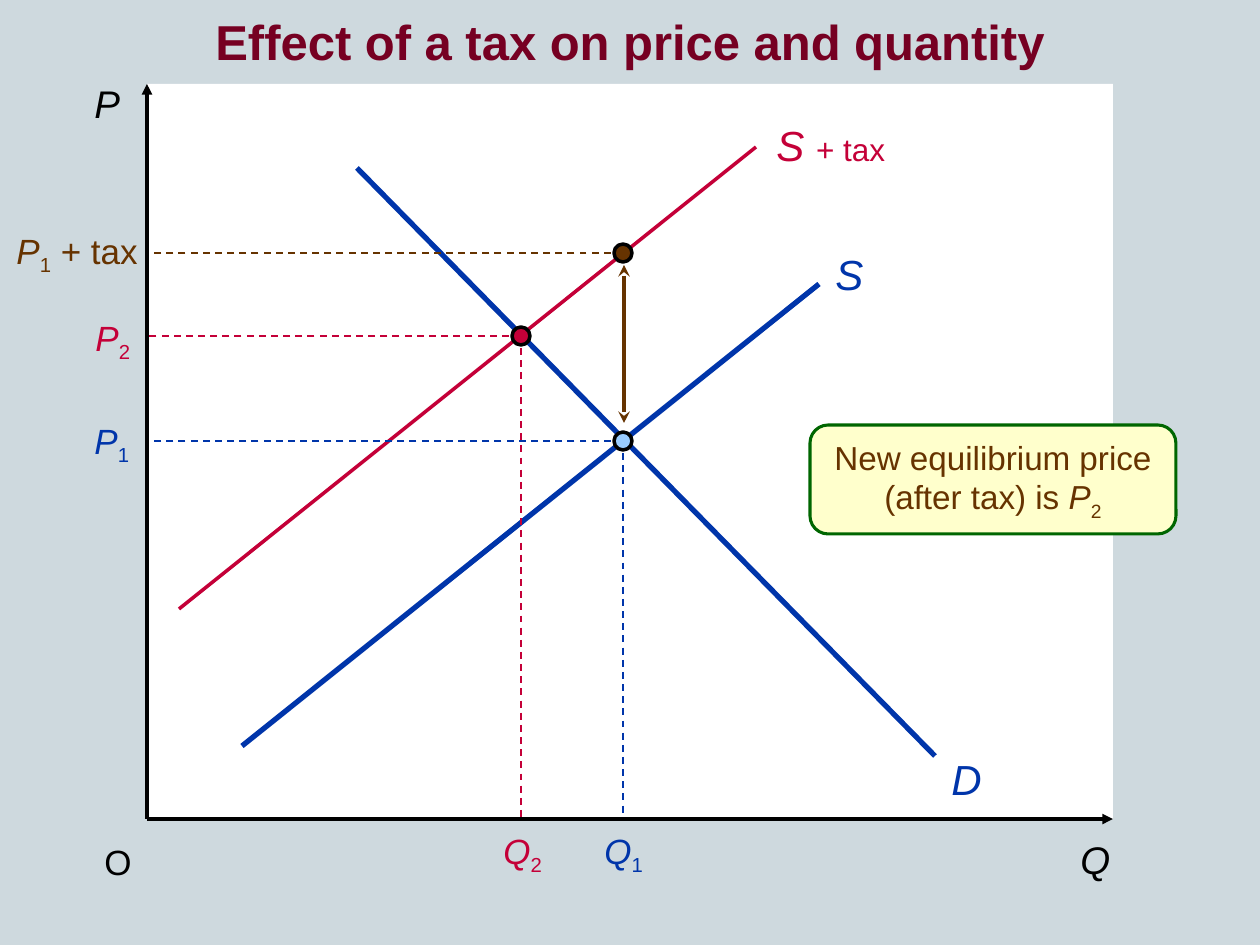
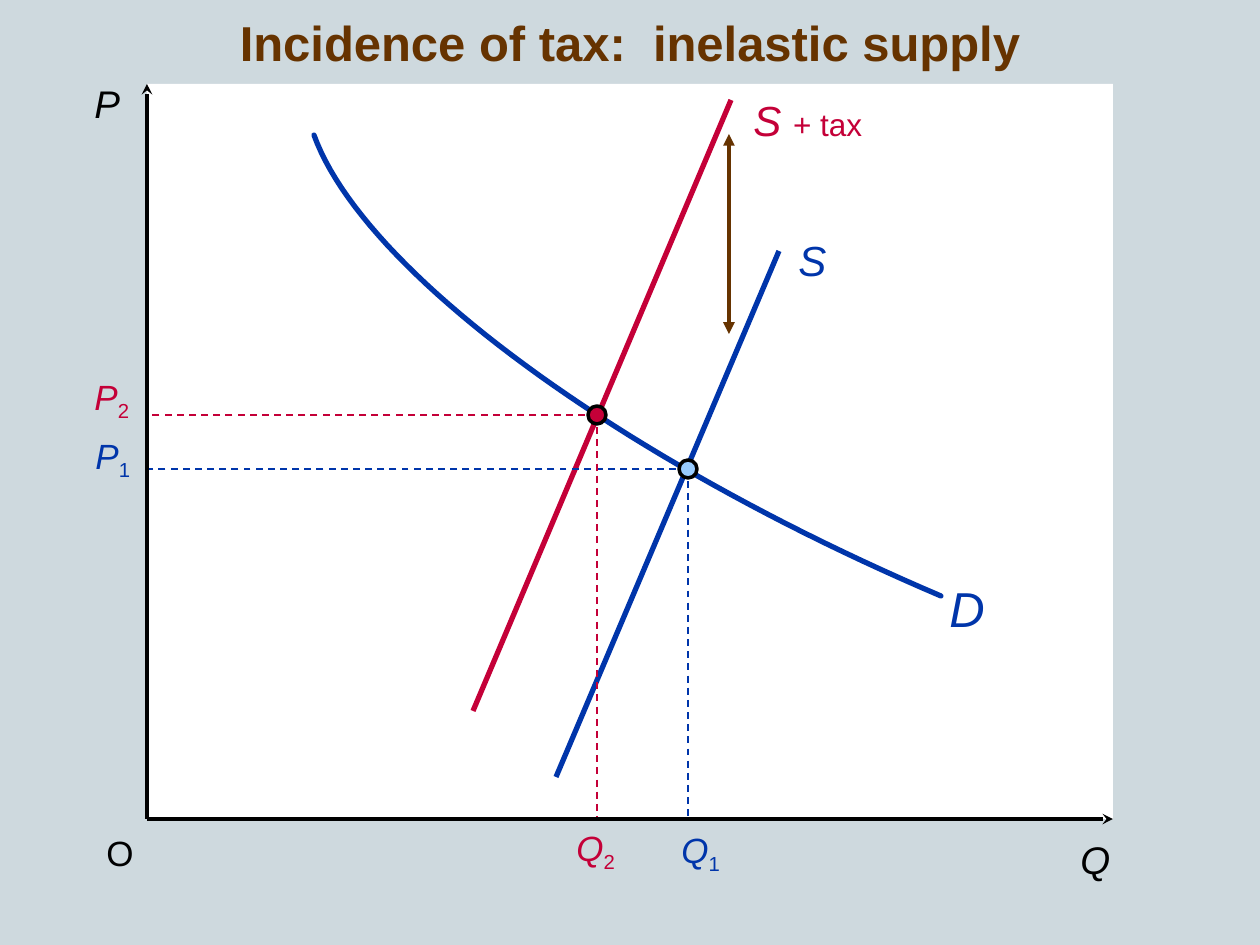
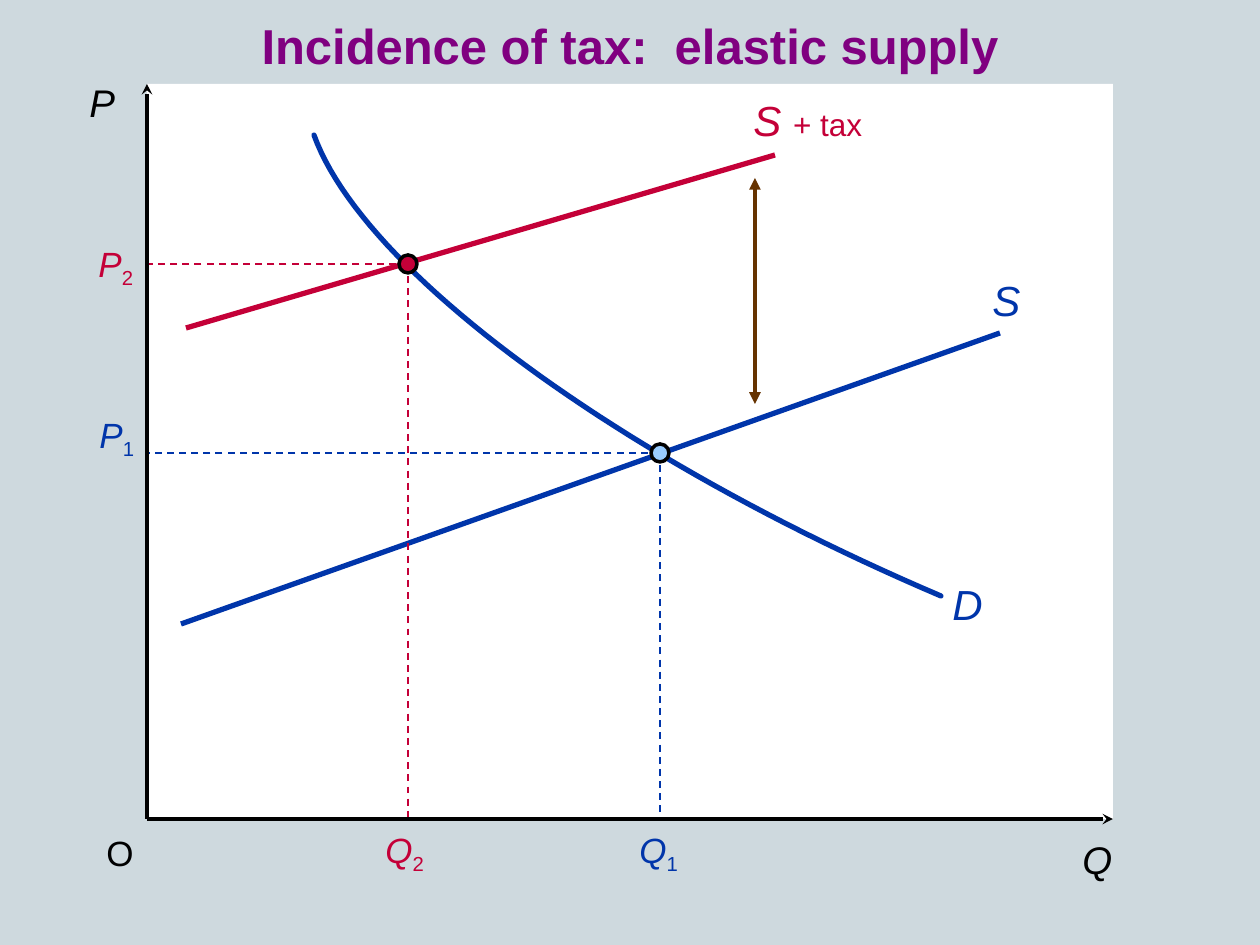
"""Build three supply-and-demand slides on the incidence of a tax."""
from lxml import etree
from pptx import Presentation
from pptx import util as u
from pptx.dml.color import RGBColor
from pptx.enum import dml, shapes, text
from pptx.oxml.ns import qn

SCALE = 914400 / 126
FONT = "Arial"
BACK = RGBColor(0xCE, 0xD9, 0xDE)
WHITE = RGBColor(0xFF, 0xFF, 0xFF)
BLACK = RGBColor(0, 0, 0)
BLUE = RGBColor(0x00, 0x35, 0xAA)
SKY = RGBColor(0x99, 0xCC, 0xFF)
RED = RGBColor(0xC4, 0x00, 0x38)
BROWN = RGBColor(0x66, 0x33, 0x00)
MAROON = RGBColor(0x76, 0x00, 0x22)
PURPLE = RGBColor(0x80, 0x00, 0x80)
CREAM = RGBColor(0xFF, 0xFF, 0xCC)
GREEN = RGBColor(0x00, 0x66, 0x00)

LEFT, TOP, RIGHT, BOTTOM = 147, 84, 1113, 819
DOT = 18
CURVE = [(314, 135), (363, 271), (619, 459), (941, 596)]

ITALIC, SUB = {"italic": True}, {"sub": True}
LABELS = {
    "P": ([("P", ITALIC)], BLACK, 22, 62),
    "Q": ([("Q", ITALIC)], BLACK, 22, 66),
    "O": ([("O", {})], BLACK, 20, 53),
    "S": ([("S", ITALIC)], BLUE, 24, 53),
    "D": ([("D", ITALIC)], BLUE, 24, 55),
    "S + tax": ([("S ", ITALIC), ("+ tax", {"size": 18})], RED, 24, 135),
    "P1": ([("P", ITALIC), ("1", SUB)], BLUE, 20, 60),
    "P2": ([("P", ITALIC), ("2", SUB)], RED, 20, 60),
    "Q1": ([("Q", ITALIC), ("1", SUB)], BLUE, 20, 64),
    "Q2": ([("Q", ITALIC), ("2", SUB)], RED, 20, 64),
    "P1 + tax": ([("P", ITALIC), ("1", SUB), (" + tax", {})], BROWN, 20, 147),
}
CALLOUT = [("New equilibrium price (after tax) is ", {}), ("P", ITALIC), ("2", SUB)]

SLIDES = [
    {
        "title": ("Effect of a tax on price and quantity", MAROON, 77),
        "labels": {"P": (82, 74), "Q": (1068, 830), "O": (92, 834),
                   "S + tax": (764, 113), "S": (823, 242), "D": (939, 747),
                   "P1": (82, 413), "P2": (83, 310), "Q1": (592, 823),
                   "Q2": (491, 823), "P1 + tax": (4, 223)},
        "lines": [((242, 746), (819, 284), BLUE, 3),
                  ((179, 609), (756, 147), RED, 2),
                  ((357, 168), (935, 756), BLUE, 3)],
        "points": [((623, 441), BLUE, SKY, True), ((521, 336), RED, RED, True),
                   ((623, 253), BROWN, BROWN, False)],
        "tax": ((624, 265), (624, 423)),
        "heads": ("triangle", "stealth"),
        "callout": (810, 425, 366, 109),
    },
    {
        "title": ("Incidence of tax:  inelastic supply", BROWN, 78),
        "labels": {"P": (82, 74), "Q": (1068, 830), "O": (94, 825),
                   "S + tax": (741, 88), "S": (786, 228), "D": (937, 572),
                   "P1": (83, 428), "P2": (82, 369), "Q1": (669, 822),
                   "Q2": (564, 820)},
        "sizes": {"D": 28},
        "curve": CURVE,
        "lines": [((556, 777), (779, 251), BLUE, 3),
                  ((473, 711), (731, 100), RED, 3)],
        "points": [((688, 469), BLUE, SKY, True), ((597, 415), RED, RED, True)],
        "tax": ((729, 134), (729, 334)),
        "heads": ("stealth", "triangle"),
    },
    {
        "title": ("Incidence of tax:  elastic supply", PURPLE, 81),
        "labels": {"P": (77, 73), "Q": (1070, 830), "O": (94, 825),
                   "S + tax": (741, 88), "S": (980, 268), "D": (940, 572),
                   "P1": (87, 407), "P2": (86, 236), "Q1": (627, 822),
                   "Q2": (373, 822)},
        "curve": CURVE,
        "lines": [((186, 328), (775, 155), RED, 3),
                  ((181, 624), (1000, 333), BLUE, 3)],
        "points": [((660, 453), BLUE, SKY, True), ((408, 264), RED, RED, True)],
        "tax": ((755, 178), (755, 404)),
        "heads": ("stealth", "triangle"),
    },
]


def px(n):
    return u.Emu(round(n * SCALE))


def add_run(p, content, size=20, color=BLACK, bold=False, italic=False, sub=False):
    r = p.add_run()
    r.text = content
    f = r.font
    f.name, f.size, f.bold, f.italic = FONT, u.Pt(size), bold, italic
    f.color.rgb = color
    if sub:
        r._r.get_or_add_rPr().set("baseline", "-25000")
    return r


def add_runs(p, runs, **fmt):
    for content, style in runs:
        add_run(p, content, **{**fmt, **style})


def add_title(s, content, color, height):
    sp = s.shapes.title
    sp.left, sp.top, sp.width, sp.height = 0, 0, px(1260), px(height)
    tf = sp.text_frame
    tf.auto_size = text.MSO_AUTO_SIZE.NONE
    tf.vertical_anchor = text.MSO_ANCHOR.BOTTOM
    p = tf.paragraphs[0]
    p.alignment = text.PP_ALIGN.CENTER
    r = add_run(p, content, size=28, color=color, bold=True)
    effects = etree.Element(qn("a:effectLst"))
    shadow = etree.SubElement(effects, qn("a:outerShdw"), dist="25400", dir="2700000")
    etree.SubElement(shadow, qn("a:srgbClr"), val="000000")
    r._r.rPr.find(qn("a:solidFill")).addnext(effects)


def add_label(s, name, x, y, size=None):
    runs, color, usual, width = LABELS[name]
    size = size or usual
    height = round(size * 2.1) + (18 if ("1" in name or "2" in name) else 12)
    tf = s.shapes.add_textbox(px(x), px(y), px(width), px(height)).text_frame
    tf.word_wrap = False
    add_runs(tf.paragraphs[0], runs, size=size, color=color)


def add_box(s, kind, x, y, w, h, fill, line=None, weight=2):
    sp = s.shapes.add_shape(kind, px(x), px(y), px(w), px(h))
    sp.shadow.inherit = False
    sp.fill.solid()
    sp.fill.fore_color.rgb = fill
    if line is None:
        sp.line.fill.background()
    else:
        sp.line.color.rgb = line
        sp.line.width = u.Pt(weight)
    return sp


def add_line(s, start, end, color, weight, dash=False, head=None, tail=None):
    c = s.shapes.add_connector(shapes.MSO_CONNECTOR.STRAIGHT,
                               *(px(n) for n in (*start, *end)))
    c.line.color.rgb = color
    c.line.width = u.Pt(weight)
    if dash:
        c.line.dash_style = dml.MSO_LINE.DASH
    ln = c.line._get_or_add_ln()
    for tag, kind in (("a:headEnd", head), ("a:tailEnd", tail)):
        if kind:
            etree.SubElement(ln, qn(tag), type=kind)
    etree.SubElement(c._element.spPr, qn("a:effectLst"))


def bezier(controls, t):
    weights = ((1 - t) ** 3, 3 * t * (1 - t) ** 2, 3 * t ** 2 * (1 - t), t ** 3)
    return tuple(px(sum(w * n for w, n in zip(weights, axis)))
                 for axis in zip(*controls))


def add_curve(s, controls, steps=48):
    dots = [bezier(controls, i / steps) for i in range(steps + 1)]
    builder = s.shapes.build_freeform(*dots[0])
    builder.add_line_segments(dots[1:], close=False)
    sp = builder.convert_to_shape()
    sp.shadow.inherit = False
    sp.fill.background()
    sp.line.color.rgb = BLUE
    sp.line.width = u.Pt(3)
    sp.line._get_or_add_ln().set("cap", "rnd")


def add_callout(s, x, y, w, h):
    sp = add_box(s, shapes.MSO_SHAPE.FLOWCHART_ALTERNATE_PROCESS, x, y, w, h,
                 CREAM, GREEN, 1.75)
    tf = sp.text_frame
    tf.word_wrap = True
    tf.vertical_anchor = text.MSO_ANCHOR.MIDDLE
    p = tf.paragraphs[0]
    p.alignment = text.PP_ALIGN.CENTER
    add_runs(p, CALLOUT, size=19, color=BROWN)


def add_diagram(s, data):
    axis_head, tax_head = data["heads"]
    add_title(s, *data["title"])
    add_box(s, shapes.MSO_SHAPE.RECTANGLE, LEFT, TOP, RIGHT - LEFT, BOTTOM - TOP, WHITE)
    for name, (x, y) in data["labels"].items():
        add_label(s, name, x, y, data.get("sizes", {}).get(name))
    if "curve" in data:
        add_curve(s, data["curve"])
    for line in data["lines"]:
        add_line(s, *line)
    for (x, y), color, _, drop in data["points"]:
        add_line(s, (x, y), (LEFT, y), color, 1, dash=True)
        if drop:
            add_line(s, (x, y), (x, BOTTOM), color, 1, dash=True)
    add_line(s, (LEFT, TOP), (LEFT, BOTTOM), BLACK, 2, head=axis_head)
    add_line(s, (LEFT, BOTTOM), (RIGHT, BOTTOM), BLACK, 2, tail=axis_head)
    add_line(s, *data["tax"], BROWN, 2.25, head=tax_head, tail=tax_head)
    for (x, y), _, fill, _ in data["points"]:
        add_box(s, shapes.MSO_SHAPE.OVAL, x - DOT / 2, y - DOT / 2, DOT, DOT, fill, BLACK)
    if "callout" in data:
        add_callout(s, *data["callout"])


def main():
    prs = Presentation()
    prs.slide_width, prs.slide_height = u.Inches(10), u.Inches(7.5)
    fill = prs.slide_master.background.fill
    fill.solid()
    fill.fore_color.rgb = BACK
    for data in SLIDES:
        add_diagram(prs.slides.add_slide(prs.slide_layouts[5]), data)
    prs.save("out.pptx")


if __name__ == "__main__":
    main()
